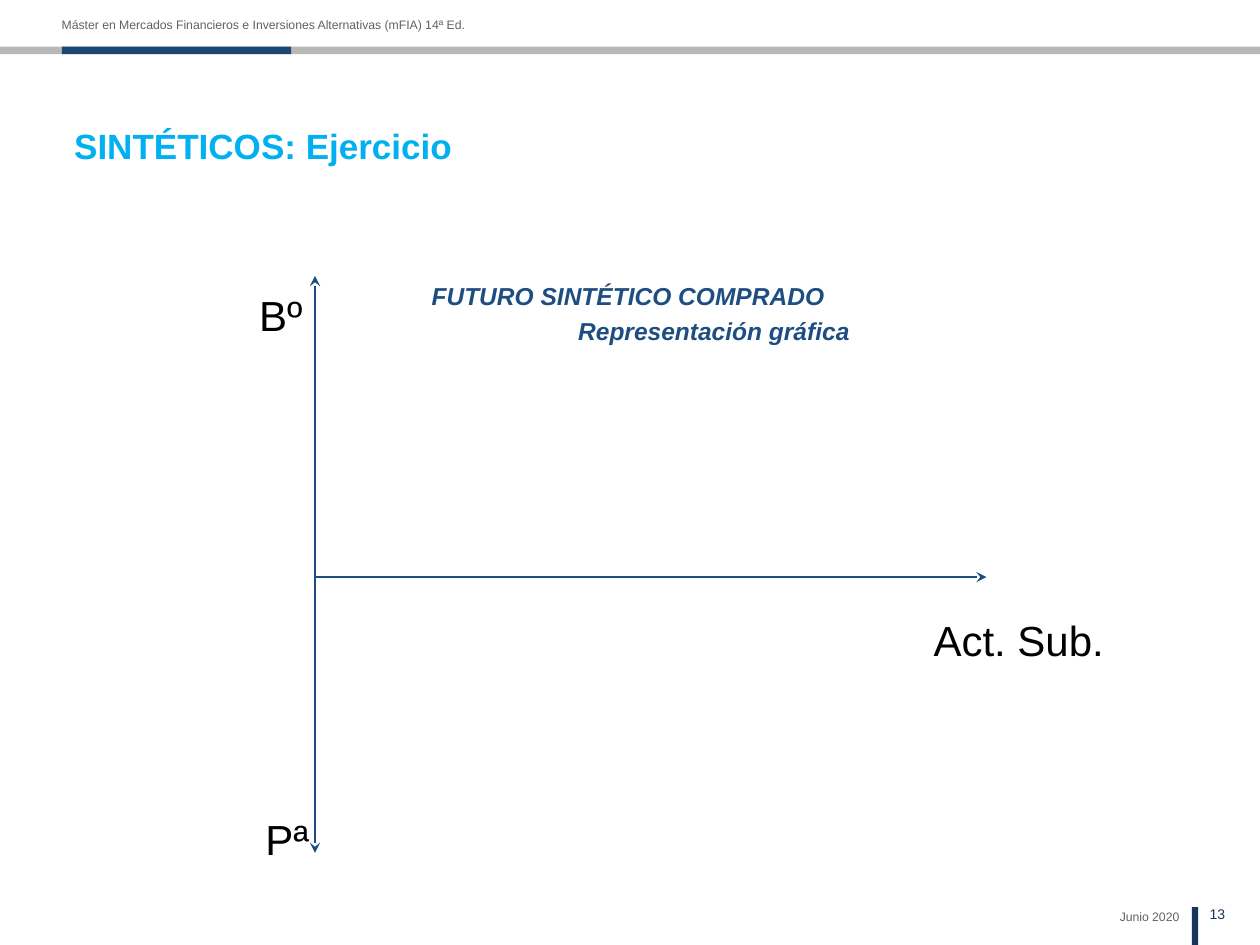
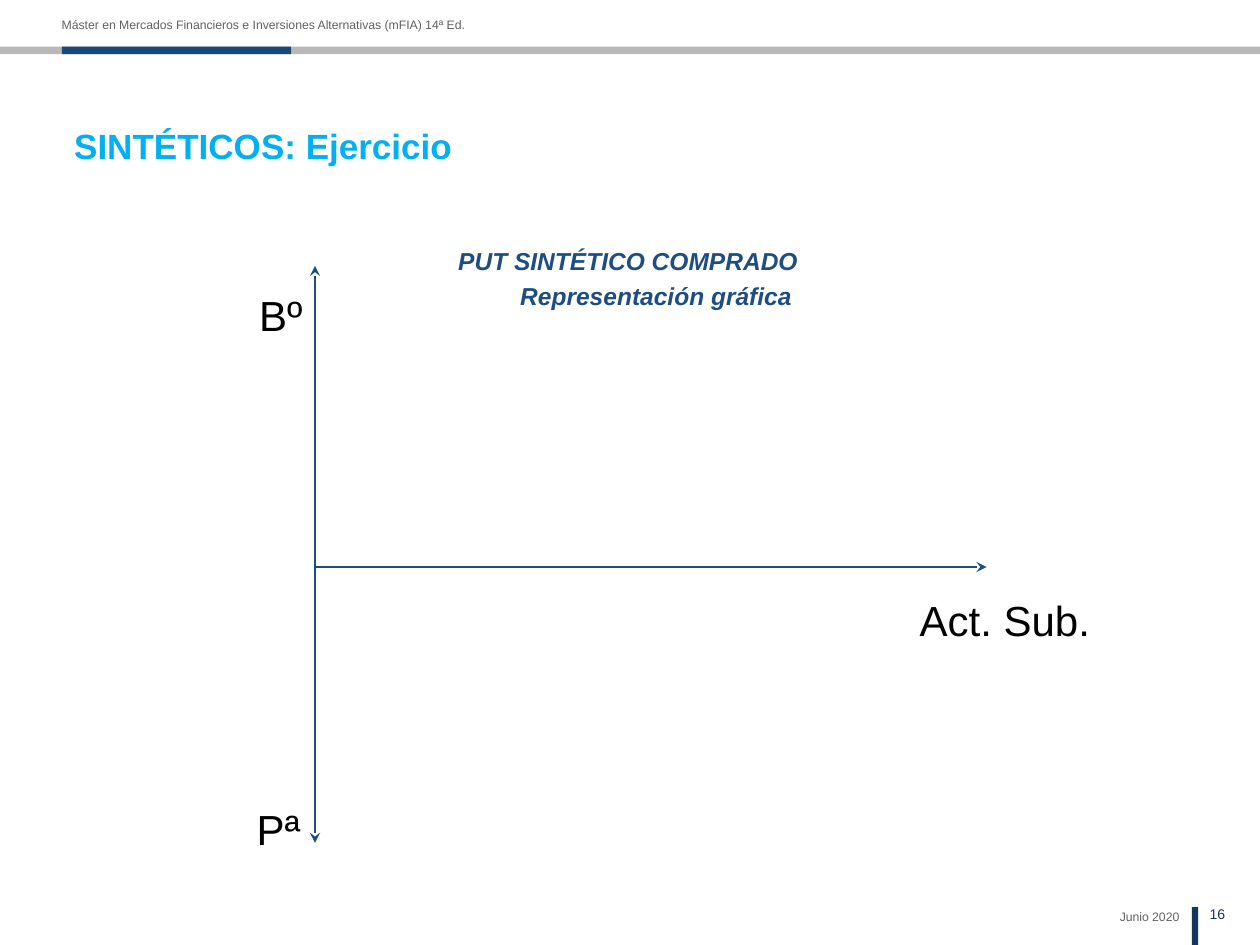
from pptx import Presentation
from pptx.dml.color import RGBColor
from pptx.enum.shapes import MSO_CONNECTOR, MSO_SHAPE
from pptx.enum.text import MSO_ANCHOR, PP_ALIGN
from pptx.oxml.ns import qn
from pptx.util import Inches, Pt
from lxml import etree

RECTANGLE = MSO_SHAPE.RECTANGLE
STRAIGHT = MSO_CONNECTOR.STRAIGHT
LEFT, CENTER, RIGHT = PP_ALIGN.LEFT, PP_ALIGN.CENTER, PP_ALIGN.RIGHT
TOP, MIDDLE = MSO_ANCHOR.TOP, MSO_ANCHOR.MIDDLE

FONT = "Arial"
GRAY_BAND, BLUE_BAND = "B8B8B8", "1B4777"
SMALL_TEXT, PAGE_MARK = "626263", "15375C"
TITLE_BLUE, DIAGRAM_BLUE, BLACK = "00B0F0", "1D4D81", "000000"
MARGIN, CONTENT_WIDTH = 0.49, 8.99


def rgb(hex_color):
    return RGBColor.from_string(hex_color)


def add_bar(slide, box, color):
    bar = slide.shapes.add_shape(RECTANGLE, *map(Inches, box))
    bar.shadow.inherit = False
    bar.fill.solid()
    bar.fill.fore_color.rgb = rgb(color)
    bar.line.fill.background()


def add_text(slide, box, lines, size, color, align=LEFT, bold=False,
             italic=False, anchor=TOP, inset=(0.1, 0.05)):
    """Write lines into a text box and return their paragraphs."""
    frame = slide.shapes.add_textbox(*map(Inches, box)).text_frame
    frame.word_wrap = True
    frame.vertical_anchor = anchor
    frame.margin_left = frame.margin_right = Inches(inset[0])
    frame.margin_top = frame.margin_bottom = Inches(inset[1])
    frame.text = "\n".join(lines)
    for paragraph in frame.paragraphs:
        paragraph.alignment = align
        font = paragraph.font
        font.name, font.size = FONT, Pt(size)
        font.bold, font.italic = bold, italic
        font.color.rgb = rgb(color)
    return frame.paragraphs


def add_axis(slide, start, end, arrowheads):
    axis = slide.shapes.add_connector(STRAIGHT, *map(Inches, start + end))
    axis.line.width = Pt(1)
    axis.line.color.rgb = rgb(DIAGRAM_BLUE)
    for arrowhead in arrowheads:
        etree.SubElement(axis.line._get_or_add_ln(), qn(f"a:{arrowhead}"), type="stealth")
    etree.SubElement(axis._element.spPr, qn("a:effectLst"))


def add_header(slide, top=0.37, height=0.06):
    add_bar(slide, (0, top, 10, height), GRAY_BAND)
    add_bar(slide, (MARGIN, top, 1.82, height), BLUE_BAND)
    add_text(slide, (MARGIN, top - 0.23, 4.04, 0.12),
             ["Máster en Mercados Financieros e Inversiones Alternativas (mFIA) 14ª Ed."],
             7, SMALL_TEXT, inset=(0, 0))


def add_footer(slide, page, top=7.2):
    add_text(slide, (8.23, top + 0.02, 1.13, 0.12), ["Junio 2020"],
             7, SMALL_TEXT, RIGHT, inset=(0, 0))
    add_bar(slide, (9.46, top, 0.05, 0.3), PAGE_MARK)
    add_text(slide, (9.6, top - 0.01, 0.4, 0.13), [str(page)], 8, PAGE_MARK, inset=(0, 0))


def add_caption(slide, top, heading, subtitle_indent):
    _, subtitle = add_text(slide, (MARGIN, top, CONTENT_WIDTH, 0.7),
                           [heading, "Representación gráfica"], 14, DIAGRAM_BLUE,
                           CENTER, bold=True, italic=True)
    subtitle.alignment = LEFT
    subtitle.space_before = Pt(3.5)
    subtitle._p.get_or_add_pPr().set("marL", str(Inches(subtitle_indent)))


def add_payoff_axes(slide, origin_y, labels, origin_x=2.5):
    """Draw the profit and loss axis and the underlying axis, with their labels."""
    add_axis(slide, (origin_x, origin_y - 2.39), (origin_x, origin_y + 2.19),
             ("headEnd", "tailEnd"))
    add_axis(slide, (origin_x, origin_y), (origin_x + 5.33, origin_y), ("tailEnd",))
    for label, (right, top, width) in labels.items():
        add_text(slide, (right - width, top, width, 0.5), [label], 24, BLACK, RIGHT)


def add_exercise_slide(prs, page, caption, origin_y, labels):
    slide = prs.slides.add_slide(prs.slide_layouts[6])
    add_header(slide)
    add_footer(slide, page)
    add_text(slide, (MARGIN, 0.53, CONTENT_WIDTH, 1.25), ["SINTÉTICOS: Ejercicio"],
             20, TITLE_BLUE, bold=True, anchor=MIDDLE)
    add_caption(slide, *caption)
    add_payoff_axes(slide, origin_y, labels)


def main():
    prs = Presentation()
    prs.slide_width, prs.slide_height = Inches(10), Inches(7.5)
    profit_label = (2.5, 2.25, 0.67)
    # Each label gives its right edge, top and width.
    add_exercise_slide(prs, 13, (2.18, "FUTURO SINTÉTICO COMPRADO", 4), 4.58,
                       {"Bº": profit_label, "Pª": (2.55, 6.41, 0.83),
                        "Act. Sub.": (8.86, 4.83, 2.11)})
    add_exercise_slide(prs, 16, (1.9, "PUT SINTÉTICO COMPRADO", 3.54), 4.5,
                       {"Bº": profit_label, "Pª": (2.48, 6.33, 0.68),
                        "Act. Sub.": (8.75, 4.67, 2)})
    prs.save("out.pptx")


if __name__ == "__main__":
    main()
